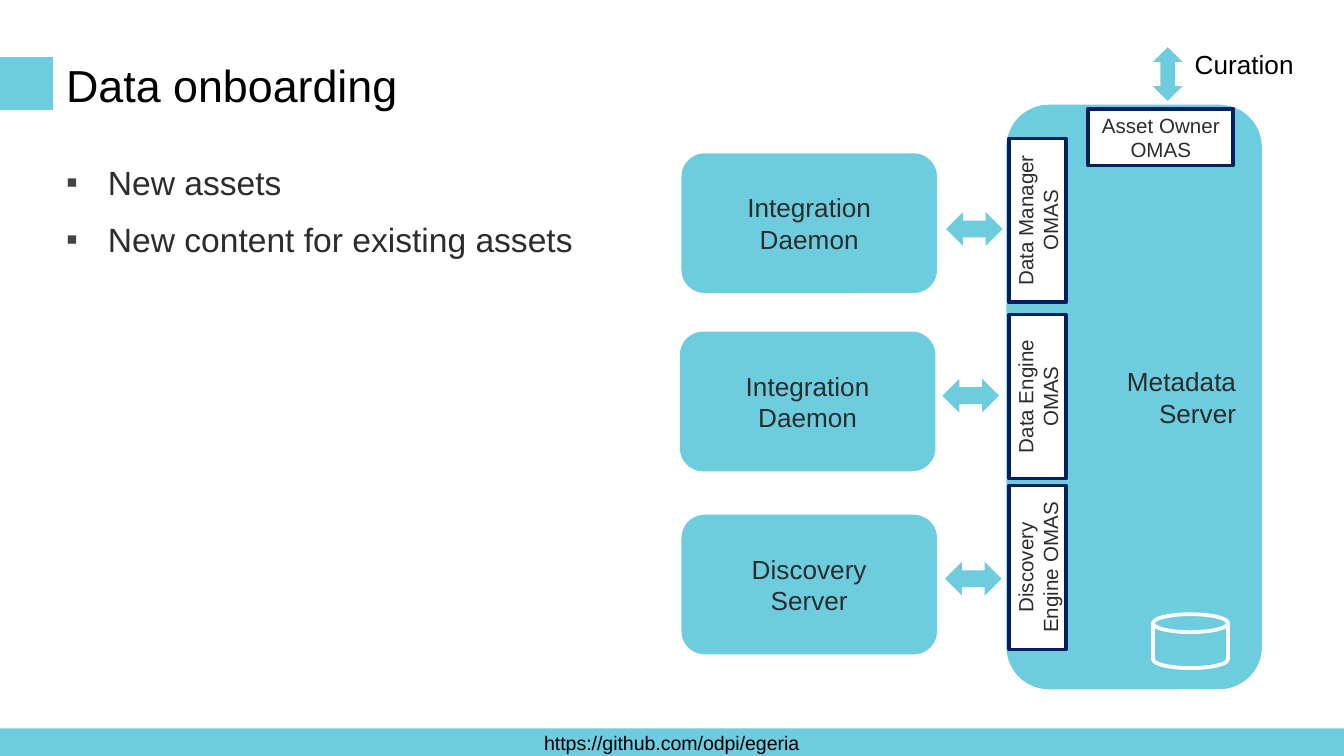
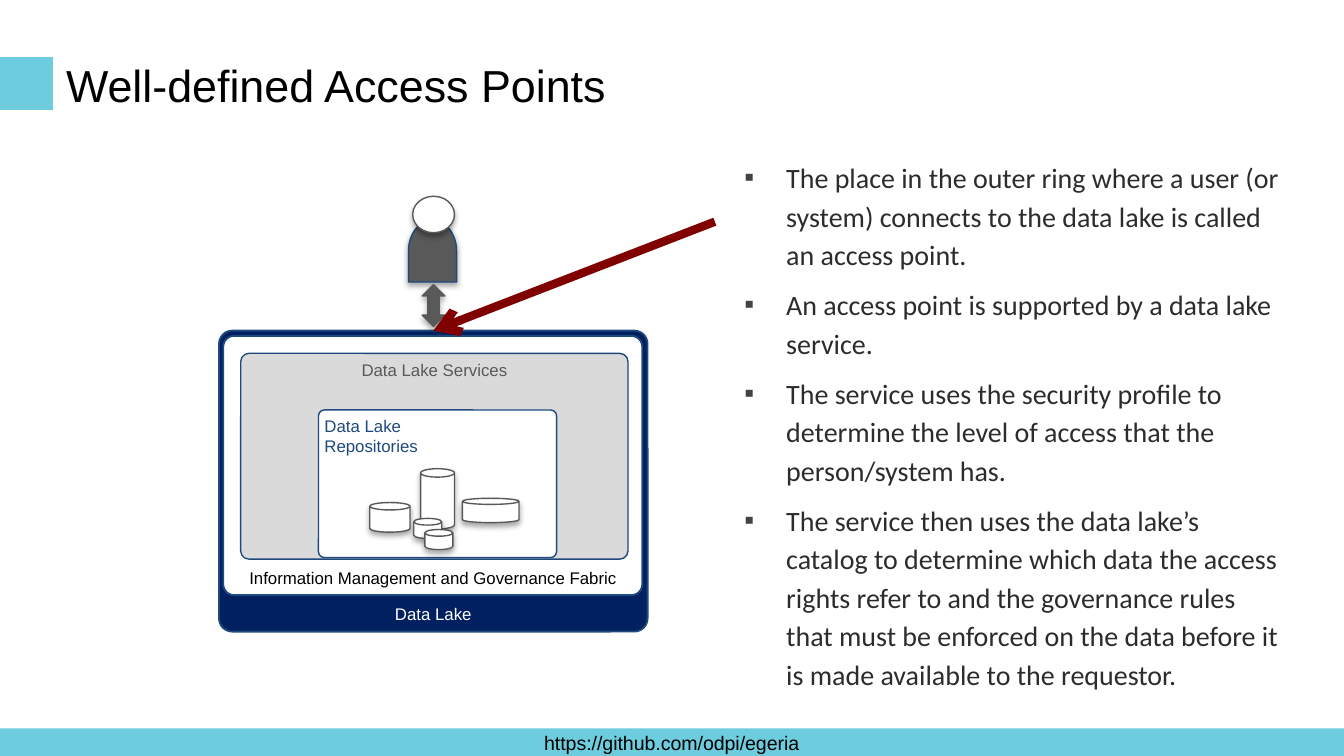
from lxml.etree import SubElement
from pptx import Presentation
from pptx.dml.color import RGBColor
from pptx.enum.shapes import MSO_CONNECTOR, MSO_SHAPE
from pptx.enum.text import MSO_ANCHOR, MSO_AUTO_SIZE, PP_ALIGN
from pptx.oxml.ns import qn
from pptx.util import Cm, Pt

TEAL = RGBColor(0x6D, 0xCC, 0xDE)
NAVY = RGBColor(0x00, 0x20, 0x60)
BLUE = RGBColor(0x1F, 0x49, 0x7D)
GRAY = RGBColor(0x59, 0x59, 0x59)
INK = RGBColor(0x2C, 0x2C, 0x2C)
BULLET = RGBColor(0x43, 0x43, 0x43)
MAROON = RGBColor(0x80, 0x00, 0x00)
BLACK = RGBColor(0x00, 0x00, 0x00)
WHITE = RGBColor(0xFF, 0xFF, 0xFF)

WIDTH, HEIGHT = 25.4, 14.29
LEFT, BODY_TOP, BODY_HEIGHT = 1, 2.69, 10


def write(shape, text, size=14, color=INK, font="Arial", align=PP_ALIGN.CENTER,
          anchor=MSO_ANCHOR.MIDDLE, inset=(0.25, 0.13), wrap=True, bulleted=False):
    """Fill a shape with one paragraph per line; inset is (sides, top and bottom) in cm."""
    frame = shape.text_frame
    frame.word_wrap = wrap
    frame.vertical_anchor = anchor
    frame.margin_left = frame.margin_right = Cm(inset[0])
    frame.margin_top = frame.margin_bottom = Cm(inset[1])
    for index, line in enumerate(text.split("\n")):
        paragraph = frame.add_paragraph() if index else frame.paragraphs[0]
        paragraph.alignment = align
        if bulleted:
            add_bullet(paragraph)
            paragraph.line_spacing = 1.15
            paragraph.space_after = Pt(6)
        run = paragraph.add_run()
        run.text = line
        run.font.name = font
        run.font.size = Pt(size)
        run.font.color.rgb = color


def add_bullet(paragraph):
    properties = paragraph._p.get_or_add_pPr()
    properties.set("marL", str(Cm(0.79)))
    properties.set("indent", str(-Cm(0.79)))
    bullet_color = SubElement(properties, qn("a:buClr"))
    SubElement(bullet_color, qn("a:srgbClr"), val=str(BULLET))
    SubElement(properties, qn("a:buFont"), typeface="Arial")
    SubElement(properties, qn("a:buChar"), char="▪")


def add_shadow(shape):
    effects = shape._element.spPr.find(qn("a:effectLst"))
    shadow = SubElement(effects, qn("a:outerShdw"), blurRad=str(Pt(3.1)),
                        dist=str(Pt(1.8)), dir="5400000", rotWithShape="0")
    color = SubElement(shadow, qn("a:srgbClr"), val=str(BLACK))
    SubElement(color, qn("a:alpha"), val="35000")


class Deck:
    """Holds the presentation, its shared style and the slide being filled."""

    def __init__(self):
        self.presentation = Presentation()
        self.presentation.slide_width = Cm(WIDTH)
        self.presentation.slide_height = Cm(HEIGHT)
        self.slide = None

    def start_slide(self, title):
        self.slide = self.presentation.slides.add_slide(self.presentation.slide_layouts[6])
        footer = self.shape(MSO_SHAPE.RECTANGLE, 0, 13.77, WIDTH, 0.52)
        write(footer, "https://github.com/odpi/egeria", size=10.5, color=BLACK)
        self.shape(MSO_SHAPE.RECTANGLE, 0, 1.08, 1, 1)
        self.text(title, LEFT, 0.79, 23.55, 1.6, size=24, color=BLACK)

    def shape(self, kind, left, top, width, height, fill=TEAL, line=None,
              weight=0.75, opacity=None, corner=None, rotation=0, shadow=False):
        shape = self.slide.shapes.add_shape(kind, Cm(left), Cm(top), Cm(width), Cm(height))
        shape.rotation = rotation
        shape.shadow.inherit = False
        shape.fill.solid()
        shape.fill.fore_color.rgb = fill
        if opacity is not None:
            color = shape._element.spPr.find(qn("a:solidFill")).find(qn("a:srgbClr"))
            SubElement(color, qn("a:alpha"), val=str(opacity * 1000))
        if line is None:
            shape.line.fill.background()
        else:
            shape.line.color.rgb = line
            shape.line.width = Pt(weight)
        if corner is not None:
            shape.adjustments[0] = corner
        if shadow:
            add_shadow(shape)
        return shape

    def text(self, text, left, top, width, height, **style):
        box = self.slide.shapes.add_textbox(Cm(left), Cm(top), Cm(width), Cm(height))
        write(box, text, **{"align": PP_ALIGN.LEFT, **style})
        return box

    def bullets(self, items, left, width, **style):
        self.text("\n".join(items), left, BODY_TOP, width, BODY_HEIGHT,
                  anchor=MSO_ANCHOR.TOP, inset=(0.25, 0.25), bulleted=True, **style)

    def service(self, name, left, top, width, rotation=0):
        """Add a white access service box with a navy border."""
        box = self.shape(MSO_SHAPE.RECTANGLE, left, top, width, 1.07, fill=WHITE,
                         line=NAVY, weight=2, rotation=rotation)
        write(box, name, size=11)

    def layer(self, name, left, top, width, height, corner, color, anchor,
              align=PP_ALIGN.CENTER, **look):
        """Add one of the nested rounded boxes with a small label."""
        box = self.shape(MSO_SHAPE.ROUNDED_RECTANGLE, left, top, width, height,
                         line=BLUE, corner=corner, **look)
        write(box, name, size=9, color=color, anchor=anchor, align=align, inset=(0.08, 0.08))
        return box

    def arrow_to_top(self, left, top, target):
        arrow = self.slide.shapes.add_connector(
            MSO_CONNECTOR.STRAIGHT, Cm(left), Cm(top), Cm(left), Cm(top))
        arrow.end_connect(target, 0)
        arrow.line.color.rgb = MAROON
        arrow.line.width = Pt(4.5)
        properties = arrow._element.spPr
        SubElement(properties.find(qn("a:ln")), qn("a:tailEnd"), type="arrow")
        SubElement(properties, qn("a:effectLst"))


def build_onboarding(deck):
    deck.start_slide("Data onboarding")
    deck.bullets(["New assets", "New content for existing assets"], LEFT, 23.55, size=18)

    server = deck.shape(MSO_SHAPE.ROUNDED_RECTANGLE, 19.02, 1.98, 4.83, 11.05)
    write(server, "Metadata\nServer", align=PP_ALIGN.RIGHT)
    deck.shape(MSO_SHAPE.FLOWCHART_MAGNETIC_DISK, 21.79, 11.61, 1.42, 1.02,
               line=WHITE, weight=2)

    # Each row: client name and position, arrow position, service name and top
    rows = [
        ("Integration\nDaemon", 12.88, 2.9, 17.88, 4.01, "Data Manager OMAS", 3.63),
        ("Integration\nDaemon", 12.85, 6.27, 17.81, 7.16, "Data Engine OMAS", 6.96),
        ("Discovery\nServer", 12.88, 9.73, 17.86, 10.62, "Discovery Engine OMAS", 10.19),
    ]
    for client, left, top, arrow_left, arrow_top, service, service_top in rows:
        write(deck.shape(MSO_SHAPE.ROUNDED_RECTANGLE, left, top, 4.83, 2.64), client)
        deck.shape(MSO_SHAPE.LEFT_RIGHT_ARROW, arrow_left, arrow_top, 1.07, 0.64)
        deck.service(service, 18.06, service_top, 3.1, rotation=270)

    deck.service("Asset Owner OMAS", 20.57, 2.06, 2.74)
    deck.shape(MSO_SHAPE.UP_DOWN_ARROW, 21.79, 0.89, 0.56, 1.02)
    curation = deck.text("Curation", 22.33, 0.79, 2.39, 0.86, color=BLACK,
                         anchor=MSO_ANCHOR.TOP, wrap=False)
    curation.text_frame.auto_size = MSO_AUTO_SIZE.SHAPE_TO_FIT_TEXT


def build_access_points(deck):
    deck.start_slide("Well-defined Access Points")
    deck.bullets([
        "The place in the outer ring where a user (or system) connects to the data lake "
        "is called an access point.",
        "An access point is supported by a data lake service.",
        "The service uses the security profile to determine the level of access that the "
        "person/system has.",
        "The service then uses the data lake’s catalog to determine which data the access "
        "rights refer to and the governance rules that must be enforced on the data before "
        "it is made available to the requestor.",
    ], 13.82, 10.69, size=15, font="Calibri")

    # User: body and head
    deck.shape(MSO_SHAPE.FLOWCHART_DELAY, 7.59, 4.29, 1.17, 0.91, fill=GRAY, line=BLUE,
               rotation=270, shadow=True)
    deck.shape(MSO_SHAPE.OVAL, 7.8, 3.71, 0.79, 0.69, fill=WHITE, line=GRAY, shadow=True)

    lake = deck.layer("Data Lake", 4.14, 6.25, 8.1, 5.69, 0.044, WHITE,
                      MSO_ANCHOR.BOTTOM, fill=NAVY, weight=1)
    deck.layer("Information Management and Governance Fabric", 4.22, 6.35, 7.92, 4.9,
               0.042, BLACK, MSO_ANCHOR.BOTTOM, fill=WHITE, weight=1)
    deck.layer("Data Lake Services", 4.55, 6.68, 7.32, 3.89, 0.04, GRAY,
               MSO_ANCHOR.TOP, fill=GRAY, opacity=22)
    deck.layer("Data Lake\nRepositories", 6.02, 7.75, 4.5, 2.79, 0.04, BLUE,
               MSO_ANCHOR.TOP, align=PP_ALIGN.LEFT, fill=WHITE)

    repositories = [
        (MSO_SHAPE.CAN, 6.99, 9.5, 0.76, 0.56),
        (MSO_SHAPE.CAN, 7.95, 8.86, 0.64, 1.14),
        (MSO_SHAPE.CAN, 8.74, 9.42, 1.07, 0.46),
        (MSO_SHAPE.FLOWCHART_MAGNETIC_DISK, 7.82, 9.8, 0.53, 0.38),
        (MSO_SHAPE.FLOWCHART_MAGNETIC_DISK, 8.03, 10.01, 0.53, 0.38),
    ]
    for kind, *place in repositories:
        deck.shape(kind, *place, fill=WHITE, line=GRAY, shadow=True)

    deck.shape(MSO_SHAPE.UP_DOWN_ARROW, 7.98, 5.38, 0.43, 0.79, fill=GRAY, line=GRAY,
               shadow=True)
    deck.arrow_to_top(13.51, 4.19, lake)


def main():
    deck = Deck()
    build_onboarding(deck)
    build_access_points(deck)
    deck.presentation.save("out.pptx")


if __name__ == "__main__":
    main()
